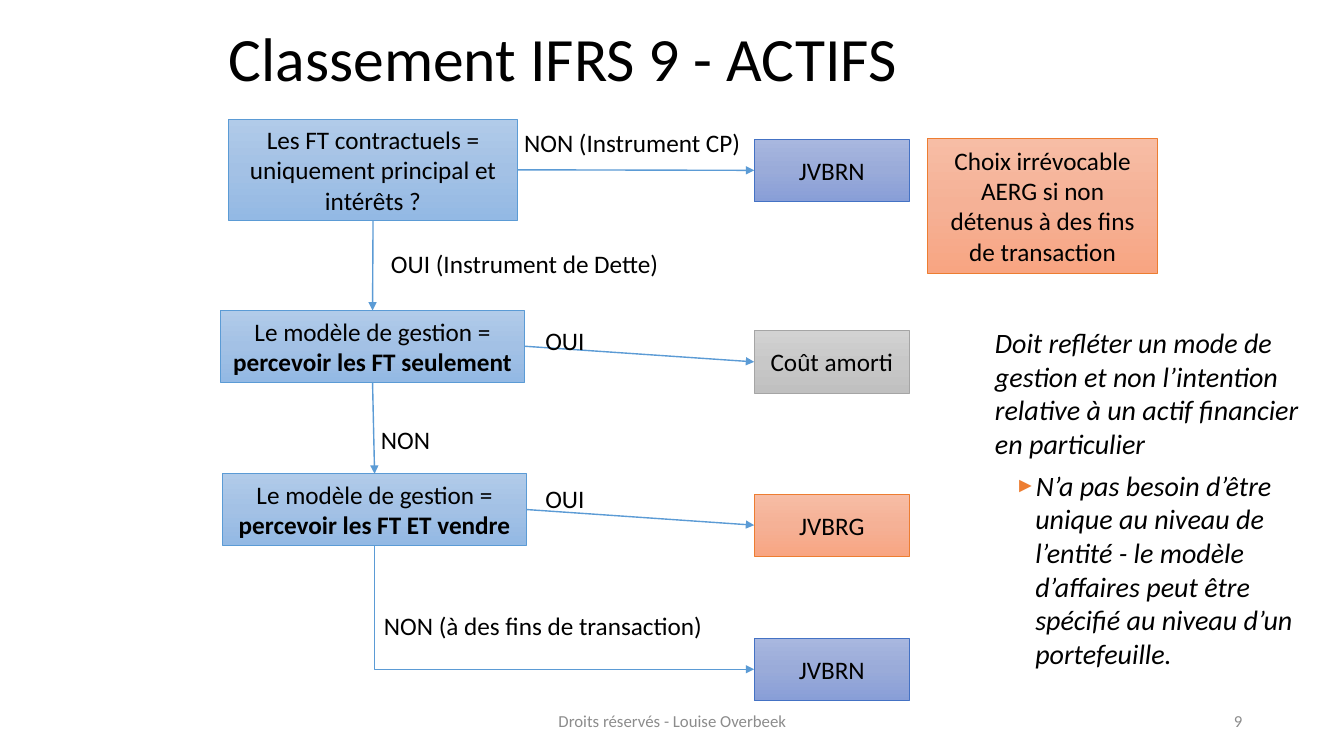
from copy import deepcopy

from lxml import etree
from pptx import Presentation
from pptx import util as u
from pptx.dml.color import RGBColor
from pptx.enum import shapes, text
from pptx.oxml.ns import qn

ANCHOR, ALIGN, FIT = text.MSO_ANCHOR, text.PP_ALIGN, text.MSO_AUTO_SIZE
TOP, LEFT, BOTTOM, RIGHT = range(4)
BLUE, ORANGE = "5B9BD5", "ED7D31"
STYLES = {
    "question": (BLUE, ["B1CBE9", "A3C1E5", "93B9E4"]),
    "orange": (ORANGE, ["F7BDA5", "F5B196", "F8A582"]),
    "indigo": ("4472C4", ["A8B7DF", "9AABD9", "889ED7"]),
    "grey": ("A5A5A5", ["D2D2D2", "C8C8C8", "C0C0C0"]),
}
RESULT_LEFT, RESULT_WIDTH, RESULT_HEIGHT = 7.48, 1.54, 0.62


def rgb(hex_colour):
    return RGBColor.from_string(hex_colour)


def apply(target, values):
    for key, value in values.items():
        setattr(target, key, value)


def write(paragraph, wording, size=18, colour="000000", **font):
    run = paragraph.add_run()
    run.text = wording
    apply(run.font, {"name": "Calibri", "size": u.Pt(size), **font})
    run.font.color.rgb = rgb(colour)


def label(slide, place, wording, size=18, colour="000000",
          align=ALIGN.LEFT, **frame):
    box = slide.shapes.add_textbox(*map(u.Inches, place))
    apply(box.text_frame, {"word_wrap": False, **frame})
    paragraph = box.text_frame.paragraphs[0]
    paragraph.alignment = align
    write(paragraph, wording, size, colour)


def gradient(shape, colours):
    shape.fill.gradient()
    shape.fill.gradient_angle = 270
    stop_list = shape._element.spPr.find(qn("a:gradFill")).find(qn("a:gsLst"))
    stop_list.insert(1, deepcopy(stop_list[0]))
    for index, stop in enumerate(shape.fill.gradient_stops):
        stop.position = index / 2
        stop.color.rgb = rgb(colours[index])


def box(slide, place, style, wording, strong=""):
    shape = slide.shapes.add_shape(
        shapes.MSO_SHAPE.RECTANGLE, *map(u.Inches, place))
    shape.shadow.inherit = False
    border, colours = STYLES[style]
    gradient(shape, colours)
    shape.line.color.rgb = rgb(border)
    shape.line.width = u.Pt(0.5)
    apply(shape.text_frame,
          {"word_wrap": True, "vertical_anchor": ANCHOR.MIDDLE})
    paragraph = shape.text_frame.paragraphs[0]
    paragraph.alignment = ALIGN.CENTER
    write(paragraph, wording)
    if strong:
        write(paragraph, strong, bold=True)
    return shape


def result(slide, top, style, wording):
    place = (RESULT_LEFT, top, RESULT_WIDTH, RESULT_HEIGHT)
    return box(slide, place, style, wording)


def finish_arrow(arrow, width):
    arrow.line.color.rgb = rgb(BLUE)
    arrow.line.width = u.Pt(width)
    etree.SubElement(arrow.line._get_or_add_ln(), qn("a:tailEnd"),
                     type="triangle")
    etree.SubElement(arrow._element.spPr, qn("a:effectLst"))


def arrow_between(slide, source, source_side, target, target_side):
    arrow = slide.shapes.add_connector(
        shapes.MSO_CONNECTOR.STRAIGHT, 0, 0, 0, 0)
    arrow.begin_connect(source, source_side)
    arrow.end_connect(target, target_side)
    finish_arrow(arrow, 1)


def arrow_down_then_right(slide, source, target):
    start_x, start_y = source.left + source.width // 2, source.top + source.height
    end_x, end_y = target.left, target.top + target.height // 2
    middle_x, middle_y = (start_x + end_x) // 2, (start_y + end_y) // 2
    half_drop, half_run = (end_y - start_y) // 2, (end_x - start_x) // 2
    arrow = slide.shapes.add_connector(
        shapes.MSO_CONNECTOR.ELBOW,
        middle_x + half_drop, middle_y - half_run,
        middle_x - half_drop, middle_y + half_run)
    properties = arrow._element.spPr
    properties.find(qn("a:prstGeom")).set("prst", "bentConnector2")
    properties.find(qn("a:xfrm")).set("rot", str(270 * 60000))
    finish_arrow(arrow, 1)


def heading(slide, place, wording):
    title = slide.shapes.title
    apply(title, dict(zip(("left", "top", "width", "height"),
                          map(u.Inches, place))))
    apply(title.text_frame, {"vertical_anchor": ANCHOR.MIDDLE,
                             "word_wrap": True, "auto_size": FIT.NONE})
    paragraph = title.text_frame.paragraphs[0]
    apply(paragraph, {"alignment": ALIGN.LEFT, "line_spacing": 0.9})
    write(paragraph, wording, 44)


def indent(paragraph, margin, hanging=0):
    properties = paragraph._p.get_or_add_pPr()
    properties.set("marL", str(u.Inches(margin)))
    properties.set("indent", str(-u.Inches(hanging)))
    return properties


def bullet(properties, sign, colour, percent):
    tint = etree.SubElement(properties, qn("a:buClr"))
    etree.SubElement(tint, qn("a:srgbClr"), val=colour)
    etree.SubElement(properties, qn("a:buSzPct"), val=str(percent * 1000))
    etree.SubElement(properties, qn("a:buFont"), typeface="Arial")
    etree.SubElement(properties, qn("a:buChar"), char=sign)


def commentary(slide, place, remark, detail):
    frame = slide.shapes.add_textbox(*map(u.Inches, place)).text_frame
    frame.word_wrap = True
    first, second = frame.paragraphs[0], frame.add_paragraph()
    indent(first, 0.1)
    second.space_before = u.Pt(6)
    bullet(indent(second, 0.5, 0.2), "►", ORANGE, 75)
    for paragraph, wording in ((first, remark), (second, detail)):
        write(paragraph, wording, 20, italic=True)


def main():
    deck = Presentation()
    deck.slide_width, deck.slide_height = u.Inches(13.33), u.Inches(7.5)
    slide = deck.slides.add_slide(deck.slide_layouts.get_by_name("Title Only"))
    heading(slide, (2.17, 0.13, 9, 0.97), "Classement IFRS 9 - ACTIFS")

    cash_flows = box(slide, (2.27, 1.18, 2.86, 1.01), "question",
                     "Les FT contractuels = uniquement principal et intérêts ?")
    collect = box(slide, (2.19, 3.08, 3.01, 0.71), "question",
                  "Le modèle de gestion = ", "percevoir les FT seulement")
    collect_and_sell = box(slide, (2.21, 4.7, 3.01, 0.71), "question",
                           "Le modèle de gestion = ",
                           "percevoir les FT ET vendre")
    equity = result(slide, 1.38, "indigo", "JVBRN")
    amortised_cost = result(slide, 3.28, "grey", "Coût amorti")
    fair_value = result(slide, 4.9, "orange", "JVBRG")
    trading = result(slide, 6.33, "indigo", "JVBRN")
    box(slide, (9.2, 1.37, 2.28, 1.34), "orange",
        "Choix irrévocable AERG si non détenus à des fins de transaction")

    for question, answer in ((cash_flows, equity), (collect, amortised_cost),
                             (collect_and_sell, fair_value)):
        arrow_between(slide, question, RIGHT, answer, LEFT)
    for question, following in ((cash_flows, collect),
                                (collect, collect_and_sell)):
        arrow_between(slide, question, BOTTOM, following, TOP)
    arrow_down_then_right(slide, collect_and_sell, trading)

    for left, top, width, wording in (
            (5.1, 1.21, 2.37, "NON (Instrument CP)"),
            (3.78, 2.41, 2.9, "OUI (Instrument de Dette)"),
            (5.31, 3.18, 0.59, "OUI"),
            (3.68, 4.16, 0.69, "NON"),
            (5.31, 4.75, 0.59, "OUI"),
            (3.71, 6.01, 3.4, "NON (à des fins de transaction)")):
        label(slide, (left, top, width, 0.4), wording)

    commentary(slide, (9.67, 3.18, 3.34, 3.55),
               "Doit refléter un mode de gestion et non l’intention relative "
               "à un actif financier en particulier",
               "N’a pas besoin d’être unique au niveau de l’entité - le modèle "
               "d’affaires peut être spécifié au niveau d’un portefeuille.")
    for left, width, wording, align in (
            (4.42, 4.5, "Droits réservés - Louise Overbeek", ALIGN.CENTER),
            (9.42, 3, "9", ALIGN.RIGHT)):
        label(slide, (left, 6.95, width, 0.4), wording, 12, "8C8C8C", align,
              word_wrap=True, vertical_anchor=ANCHOR.MIDDLE)
    deck.save("out.pptx")


if __name__ == "__main__":
    main()
